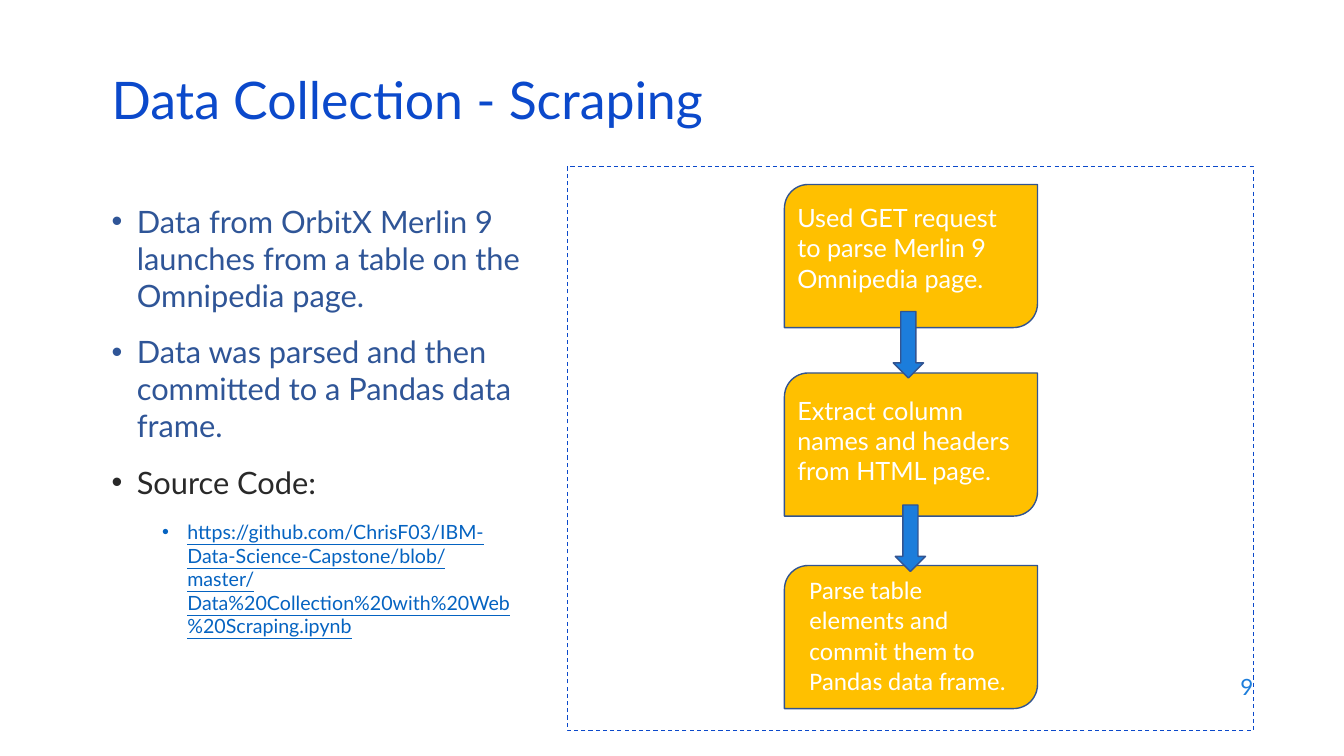
from dataclasses import dataclass

from lxml.etree import SubElement
from pptx import Presentation
from pptx.dml.color import RGBColor
from pptx.enum.dml import MSO_LINE
from pptx.enum.shapes import MSO_SHAPE
from pptx.enum.text import MSO_ANCHOR, MSO_AUTO_SIZE, PP_ALIGN
from pptx.oxml.ns import qn
from pptx.util import Inches, Pt


@dataclass(frozen=True)
class Theme:
    """Colours, fonts and type sizes of the slide."""
    title: str = "0B49CB"
    body: str = "2F5597"
    dark: str = "292929"
    link: str = "0563C1"
    accent: str = "1C7DDB"
    step: str = "FFC000"
    outline: str = "325491"
    white: str = "FFFFFF"
    main_font: str = "Lato"
    alt_font: str = "Calibri"
    title_size: int = 37
    body_size: int = 22
    step_size: int = 18
    number_size: int = 16
    link_size: int = 14


THEME = Theme()

BULLETS = [
    ("Data from OrbitX Merlin 9 launches from a table on the Omnipedia page.", THEME.body, THEME.body_size, 0),
    ("Data was parsed and then committed to a Pandas data frame.", THEME.body, THEME.body_size, 0),
    ("Source Code:", THEME.dark, THEME.body_size, 0),
    ("https://github.com/ChrisF03/IBM-Data-Science-Capstone/blob/master/"
     "Data%20Collection%20with%20Web%20Scraping.ipynb", THEME.link, THEME.link_size, 1),
]
STEP_TOPS = (1.83, 3.7, 5.61)
ARROW_PLACES = ((8.86, 3.09), (8.88, 5.01))
STEP_TEXTS = [
    ("Used GET request to parse Merlin 9 Omnipedia page.", (7.81, 1.96, 2.34, 1.01), THEME.main_font),
    ("Extract column names and headers from HTML page.", (7.81, 3.87, 2.34, 1.01), THEME.main_font),
    ("Parse table elements and commit them to Pandas data frame.", (7.93, 5.65, 2.29, 1.31), THEME.alt_font),
]


def apply_format(target, values):
    """Set each named attribute on the target."""
    for name, value in values.items():
        setattr(target, name, value)


def write(paragraph, text, color, size, font=THEME.main_font, **extra):
    """Write one styled run into a paragraph."""
    run = paragraph.add_run()
    run.text = text
    apply_format(run.font, {"name": font, "size": Pt(size), **extra})
    run.font.color.rgb = RGBColor.from_string(color)


def add_frame(slide, place, **extra):
    """Add a wrapping text box and return its text frame."""
    frame = slide.shapes.add_textbox(*map(Inches, place)).text_frame
    apply_format(frame, {"word_wrap": True, **extra})
    return frame


def add_label(slide, place, text, color, size, font=THEME.main_font, paragraph_format=None, **extra):
    """Add a text box with a single paragraph."""
    paragraph = add_frame(slide, place, **extra).paragraphs[0]
    apply_format(paragraph, paragraph_format or {})
    write(paragraph, text, color, size, font)


def add_block(slide, kind, place, fill, line, width, dash=None):
    """Add a preset shape with its fill and outline."""
    block = slide.shapes.add_shape(kind, *map(Inches, place))
    block.shadow.inherit = False
    if fill:
        block.fill.solid()
        block.fill.fore_color.rgb = RGBColor.from_string(fill)
    else:
        block.fill.background()
    block.line.color.rgb = RGBColor.from_string(line)
    apply_format(block.line, {"width": Pt(width), "dash_style": dash})


def add_bullets(slide, place, items):
    """Add the bulleted list, indented by level."""
    frame = add_frame(slide, place)
    for index, (text, color, size, level) in enumerate(items):
        paragraph = frame.add_paragraph() if index else frame.paragraphs[0]
        properties = paragraph._p.get_or_add_pPr()
        properties.set("marL", str(Inches(0.25 + 0.5 * level)))
        properties.set("indent", str(Inches(-0.25)))
        SubElement(properties, qn("a:buFont"), typeface="Arial")
        SubElement(properties, qn("a:buChar"), char="•")
        apply_format(paragraph, {"level": level, "space_before": Pt(14 if index else 0)})
        write(paragraph, text, color, size, underline=level == 1)


def add_flow(slide):
    """Add the dashed panel with its steps, arrows and step texts."""
    add_block(slide, MSO_SHAPE.RECTANGLE, (5.63, 1.65, 6.8, 5.6), None, THEME.title, 0.75, MSO_LINE.DASH)
    for top in STEP_TOPS:
        add_block(slide, MSO_SHAPE.ROUND_2_DIAG_RECTANGLE, (7.78, top, 2.51, 1.42),
                  THEME.step, THEME.outline, 1)
    for left, top in ARROW_PLACES:
        add_block(slide, MSO_SHAPE.DOWN_ARROW, (left, top, 0.3, 0.66), THEME.accent, THEME.outline, 1)
    for text, place, font in STEP_TEXTS:
        add_label(slide, place, text, THEME.white, THEME.step_size, font,
                  auto_size=MSO_AUTO_SIZE.SHAPE_TO_FIT_TEXT)


def main():
    """Build and save the slide."""
    deck = Presentation()
    apply_format(deck, {"slide_width": Inches(13.33), "slide_height": Inches(7.5)})
    slide = deck.slides.add_slide(deck.slide_layouts[6])
    add_label(slide, (9.53, 6.59, 3, 0.44), "9", THEME.accent, THEME.number_size,
              paragraph_format={"alignment": PP_ALIGN.RIGHT}, vertical_anchor=MSO_ANCHOR.MIDDLE)
    add_bullets(slide, (1.01, 1.96, 4.3, 5.29), BULLETS)
    add_label(slide, (1.01, 0.76, 11.5, 0.6), "Data Collection - Scraping", THEME.title, THEME.title_size,
              paragraph_format={"line_spacing": 0.7}, vertical_anchor=MSO_ANCHOR.MIDDLE)
    add_flow(slide)
    deck.save("out.pptx")


if __name__ == "__main__":
    main()
